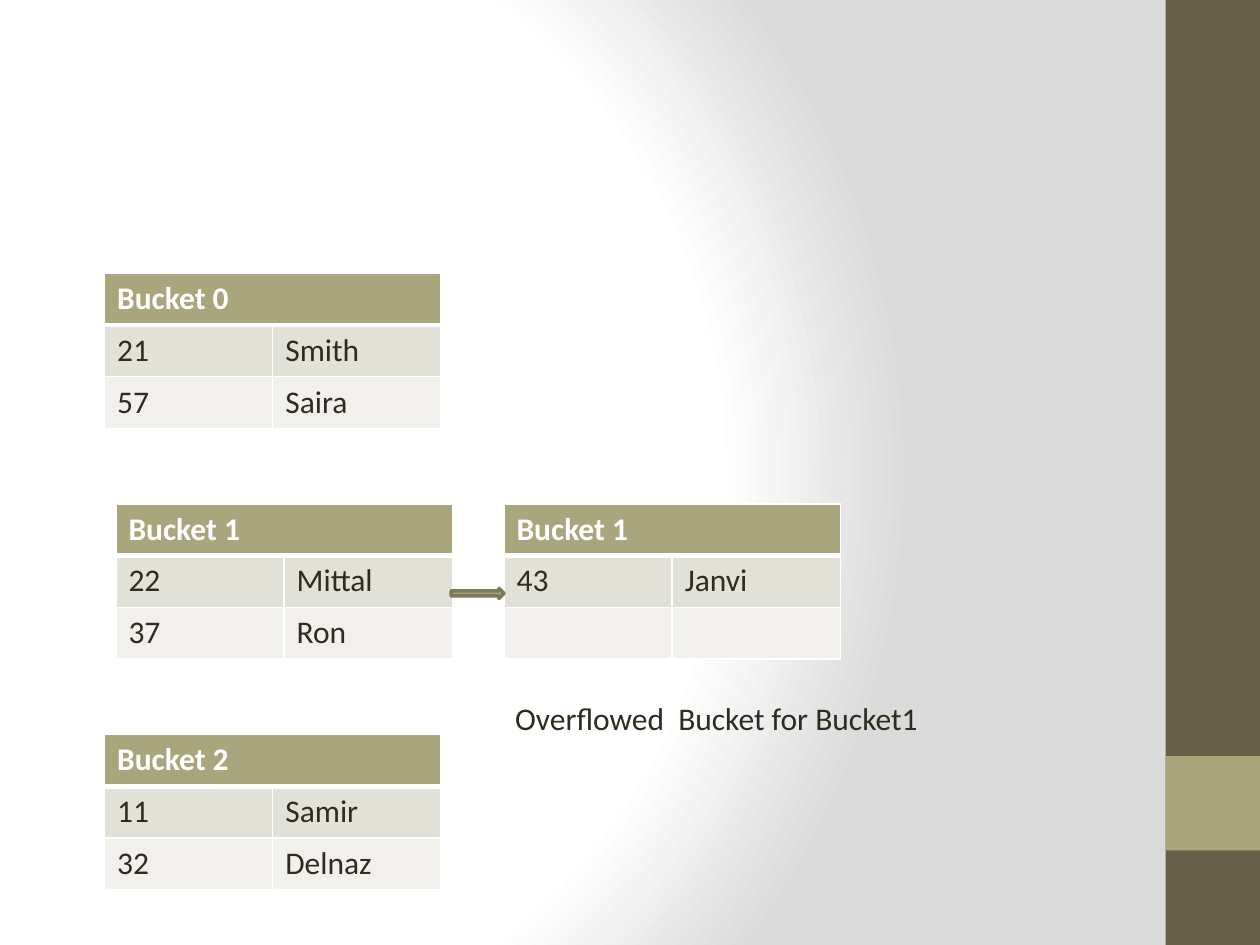
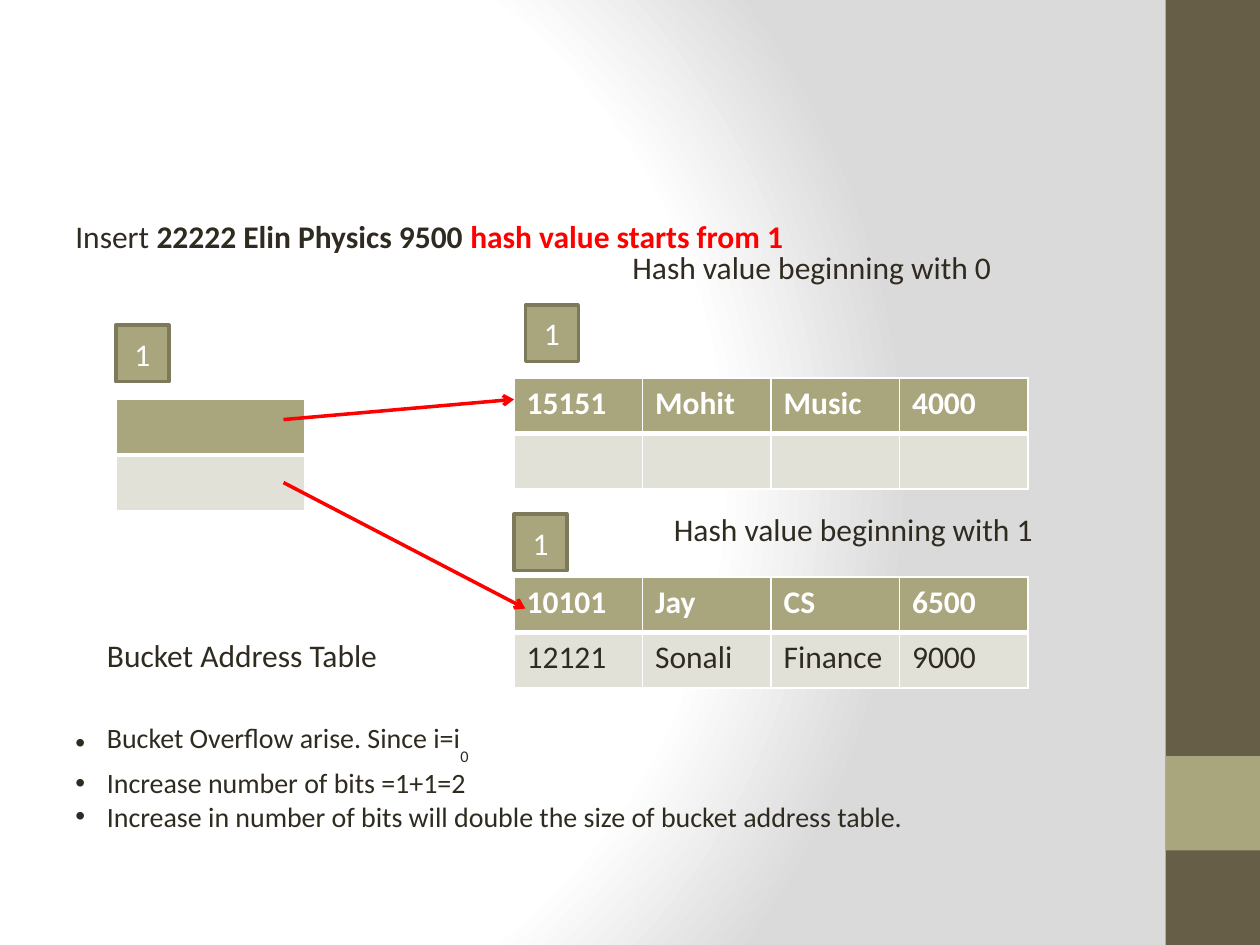
"""Builds two slides on bucket overflow in hashing."""
from lxml import etree
from pptx import Presentation
from pptx import util as u
from pptx.dml.color import RGBColor
from pptx.enum import shapes, text
from pptx.oxml import ns

COLORS = {
    "ink": "2F2B20", "white": "FFFFFF", "gray": "DADADA", "brown": "675E47",
    "olive": "A9A57C", "edge": "7D7A5C", "red": "FF0000",
    "band1": "E2E1D7", "band2": "F1F0EC",
}
ROW_FILLS = ["olive", "band1", "band2"]
FONT = "Calibri"


def rgb(name):
    return RGBColor.from_string(COLORS[name])


def inches(*values):
    return [u.Inches(v) for v in values]


def sub(parent, tag, **attrs):
    return etree.SubElement(parent, ns.qn(tag), attrs)


class Deck:
    """Holds the presentation, the shared style and the current slide."""

    def __init__(self):
        self.prs = Presentation()
        self.prs.slide_width, self.prs.slide_height = inches(10, 7.5)
        self.s = None

    def slide(self):
        self.s = self.prs.slides.add_slide(self.prs.slide_layouts[6])
        self.background()
        self.shape((9.25, 0, 0.75, 7.5), "brown")
        self.shape((9.25, 6, 0.75, 0.75), "olive")

    def background(self):
        self.s.background.fill.gradient()
        grad = next(self.s.element.iter(ns.qn("a:gradFill")))
        for child in list(grad):
            grad.remove(child)
        stops = sub(grad, "a:gsLst")
        for pos, color in ((0, "white"), (75, "white"), (100, "gray")):
            stop = sub(stops, "a:gs", pos=str(pos * 1000))
            sub(stop, "a:srgbClr", val=COLORS[color])
        circle = sub(grad, "a:path", path="circle")
        sub(circle, "a:fillToRect", l="20000", t="50000", r="100000", b="50000")

    def font(self, r, size=18, color="ink", bold=False):
        r.font.name, r.font.size, r.font.bold = FONT, u.Pt(size), bold
        r.font.color.rgb = rgb(color)

    def shape(self, box, fill, kind=shapes.MSO_SHAPE.RECTANGLE, edge=None):
        sp = self.s.shapes.add_shape(kind, *inches(*box))
        sp.shadow.inherit = False
        sp.fill.solid()
        sp.fill.fore_color.rgb = rgb(fill)
        if edge:
            sp.line.color.rgb = rgb(edge)
            sp.line.width = u.Pt(2)
        else:
            sp.line.fill.background()
        return sp

    def depth_box(self, left, top, label="1"):
        tf = self.shape((left, top, 0.42, 0.45), "olive", edge="edge").text_frame
        tf.text = label
        tf.vertical_anchor = text.MSO_ANCHOR.MIDDLE
        p = tf.paragraphs[0]
        p.alignment = text.PP_ALIGN.CENTER
        self.font(p.runs[0], color="white")

    def text(self, box, paragraphs, size=18, bullets=False):
        tf = self.s.shapes.add_textbox(*inches(*box)).text_frame
        tf.word_wrap = True
        tf.auto_size = text.MSO_AUTO_SIZE.SHAPE_TO_FIT_TEXT
        for i, runs in enumerate(paragraphs):
            p = tf.add_paragraph() if i else tf.paragraphs[0]
            if bullets:
                pPr = p._p.get_or_add_pPr()
                pPr.set("marL", str(u.Inches(0.25)))
                pPr.set("indent", str(u.Inches(-0.25)))
                sub(pPr, "a:buFont", typeface="Arial")
                sub(pPr, "a:buChar", char="•")
            for words, style in runs:
                r = p.add_run()
                r.text = words
                style = dict(style)
                baseline = style.pop("baseline", None)
                self.font(r, size, **style)
                if baseline:
                    r._r.get_or_add_rPr().set("baseline", str(baseline * 1000))

    def label(self, left, top, width, words):
        self.text((left, top, width, 0.4), [[(words, {})]])

    def borders(self, cell, bottom):
        tcPr = cell._tc.get_or_add_tcPr()
        for i, side in enumerate("LRTB"):
            width = u.Pt(bottom if side == "B" else 1)
            ln = etree.Element(ns.qn(f"a:ln{side}"), w=str(width))
            sub(sub(ln, "a:solidFill"), "a:srgbClr", val=COLORS["white"])
            tcPr.insert(i, ln)

    def table(self, left, top, width, row_height, rows, merge_header=False):
        n_rows, n_cols = len(rows), len(rows[0])
        box = inches(left, top, width, row_height * n_rows)
        frame = self.s.shapes.add_table(n_rows, n_cols, *box)
        table = frame.table
        table.horz_banding = False
        for i, row in enumerate(rows):
            header = i == 0
            for j, value in enumerate(row):
                cell = table.cell(i, j)
                cell.text = value
                cell.fill.solid()
                cell.fill.fore_color.rgb = rgb(ROW_FILLS[i])
                self.borders(cell, 3 if header else 1)
                for r in cell.text_frame.paragraphs[0].runs:
                    self.font(r, color="white" if header else "ink", bold=header)
        if merge_header:
            table.cell(0, 0).merge(table.cell(0, n_cols - 1))

    def bucket(self, left, top, name, *records):
        rows = [(name, ""), *records]
        self.table(left, top, 2.67, 0.41, rows, merge_header=True)

    def arrow(self, start, end):
        line = self.s.shapes.add_connector(
            shapes.MSO_CONNECTOR.STRAIGHT, *inches(*start, *end))
        line.line.color.rgb = rgb("red")
        line.line.width = u.Pt(2)
        sub(line.line._get_or_add_ln(), "a:tailEnd", type="arrow")
        sub(line._element.spPr, "a:effectLst")


def overflow_chaining(deck):
    deck.slide()
    deck.bucket(0.83, 2.17, "Bucket 0", ("21", "Smith"), ("57", "Saira"))
    deck.bucket(0.92, 4, "Bucket 1", ("22", "Mittal"), ("37", "Ron"))
    deck.bucket(0.83, 5.83, "Bucket 2", ("11", "Samir"), ("32", "Delnaz"))
    deck.label(3.99, 5.5, 3.83, "Overflowed  Bucket for Bucket1")
    deck.bucket(4, 4, "Bucket 1", ("43", "Janvi"), ("", ""))
    deck.shape((3.58, 4.67, 0.42, 0.08), "olive",
               shapes.MSO_SHAPE.RIGHT_ARROW, edge="edge")


def extendable_insert(deck):
    deck.slide()
    deck.text((0.5, 1.67, 7.67, 0.4), [[
        ("Insert ", {}),
        ("22222 Elin Physics 9500 ", {"bold": True}),
        ("hash value starts from 1", {"bold": True, "color": "red"}),
    ]])
    deck.table(0.92, 3.17, 1.5, 0.44, [("",), ("",)])
    deck.label(0.75, 5, 2.42, "Bucket Address Table")
    deck.table(4.08, 3, 4.08, 0.44,
               [("15151", "Mohit", "Music", "4000"), ("",) * 4])
    deck.table(4.08, 4.58, 4.08, 0.44,
               [("10101", "Jay", "CS", "6500"),
                ("12121", "Sonali", "Finance", "9000")])
    for left, top in ((0.92, 2.58), (4.17, 2.42), (4.08, 4.08)):
        deck.depth_box(left, top)
    deck.arrow((2.25, 3.33), (4.08, 3.17))
    deck.arrow((2.25, 3.83), (4.17, 4.83))
    deck.label(4.92, 1.92, 3.08, "Hash value beginning with 0")
    deck.label(5.25, 4, 3.08, "Hash value beginning with 1")
    deck.text((0.5, 5.67, 7.92, 1.21), [
        [("Bucket Overflow arise. Since i=i", {}), ("0", {"baseline": -50})],
        [("Increase number of bits =1+1=2", {})],
        [("Increase in number of bits will double the size of "
          "bucket address table.", {})],
    ], size=16, bullets=True)


def main():
    deck = Deck()
    overflow_chaining(deck)
    extendable_insert(deck)
    deck.prs.save("out.pptx")


if __name__ == "__main__":
    main()
